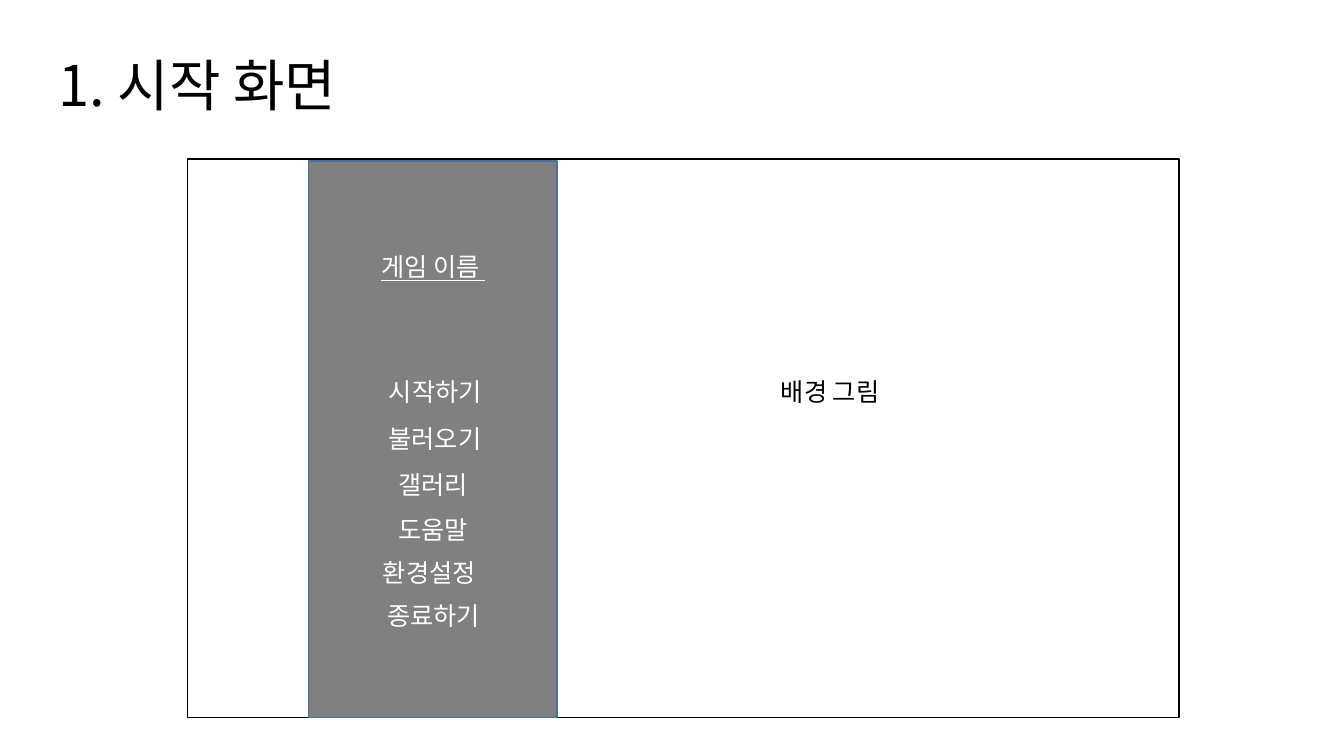
from lxml import etree
from pptx import Presentation
from pptx import util as u
from pptx.dml.color import RGBColor
from pptx.enum import shapes, text
from pptx.oxml import ns

COLORS = {"ink": "000000", "paper": "FFFFFF", "panel": "808080", "edge": "43739E"}
FONT = "Noto Sans CJK KR"
ROW_HEIGHT = 1.02
# label, left and top within the panel, width, alignment
MENU = [
    ("시작하기", 1.32, 5.31, 3.76, "CENTER"),
    ("불러오기", 1.63, 6.48, 3.12, "CENTER"),
    ("갤러리", 1.58, 7.65, 3.12, "CENTER"),
    ("도움말", 1.58, 8.77, 3.12, "CENTER"),
    ("환경설정", 1.63, 9.86, 4.11, "LEFT"),
    ("종료하기", 1.6, 10.95, 3.12, "CENTER"),
]


def color(name):
    return RGBColor.from_string(COLORS[name])


def write(frame, words, size=18, ink="ink", align="LEFT", underline=None, spacing=None):
    para = frame.paragraphs[0]
    para.alignment = text.PP_ALIGN[align]
    para.line_spacing = spacing
    span = para.add_run()
    span.text = words
    span.font.size = u.Pt(size)
    span.font.name = FONT
    span.font.underline = underline
    span.font.color.rgb = color(ink)
    etree.SubElement(span.font._element, ns.qn("a:ea"), typeface=FONT)


def add_label(page, words, left, top, width, height=ROW_HEIGHT, **style):
    box = page.shapes.add_textbox(u.Cm(left), u.Cm(top), u.Cm(width), u.Cm(height))
    box.text_frame.word_wrap = True
    write(box.text_frame, words, **style)


def add_rectangle(page, box, fill, line):
    shape = page.shapes.add_shape(shapes.MSO_SHAPE.RECTANGLE, *map(u.Cm, box))
    shape.shadow.inherit = False
    shape.fill.solid()
    shape.fill.fore_color.rgb = color(fill)
    shape.line.color.rgb = color(line)
    shape.line.width = u.Pt(1)


def place_title(page, box, words):
    title = page.shapes.title
    title.left, title.top, title.width, title.height = map(u.Cm, box)
    title.text_frame.vertical_anchor = text.MSO_ANCHOR.MIDDLE
    write(title.text_frame, words, size=40, spacing=0.9)


def draw_screen(page, box):
    left, top, _, _ = box
    add_rectangle(page, box, "paper", "ink")
    add_label(page, "배경 그림", left + 14.71, top + 5.36, 3.33)


def draw_menu(page, box):
    left, top, _, _ = box
    add_rectangle(page, box, "panel", "edge")
    add_label(page, "게임 이름 ", left - 0.45, top + 2.16, 7.19, 1.8,
              ink="paper", align="CENTER", underline=True)
    for words, across, down, width, align in MENU:
        add_label(page, words, left + across, top + down, width, ink="paper", align=align)


def main():
    deck = Presentation()
    deck.slide_width, deck.slide_height = u.Cm(33.87), u.Cm(19.05)
    page = deck.slides.add_slide(deck.slide_layouts[5])
    place_title(page, (1.22, 0.38, 29.21, 3.68), "1. 시작 화면")
    draw_screen(page, (4.72, 4.01, 24.99, 14.07))
    draw_menu(page, (7.77, 4.06, 6.27, 14.02))
    deck.save("out.pptx")


if __name__ == "__main__":
    main()
